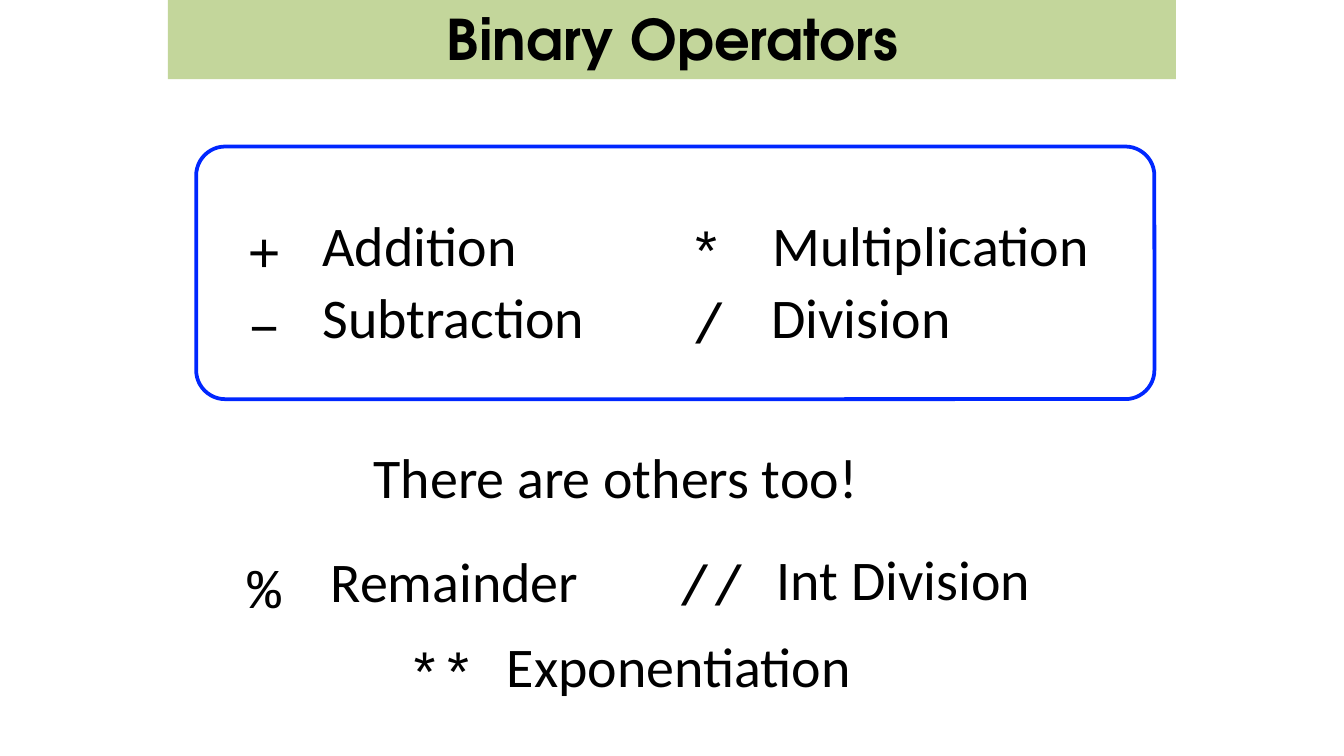
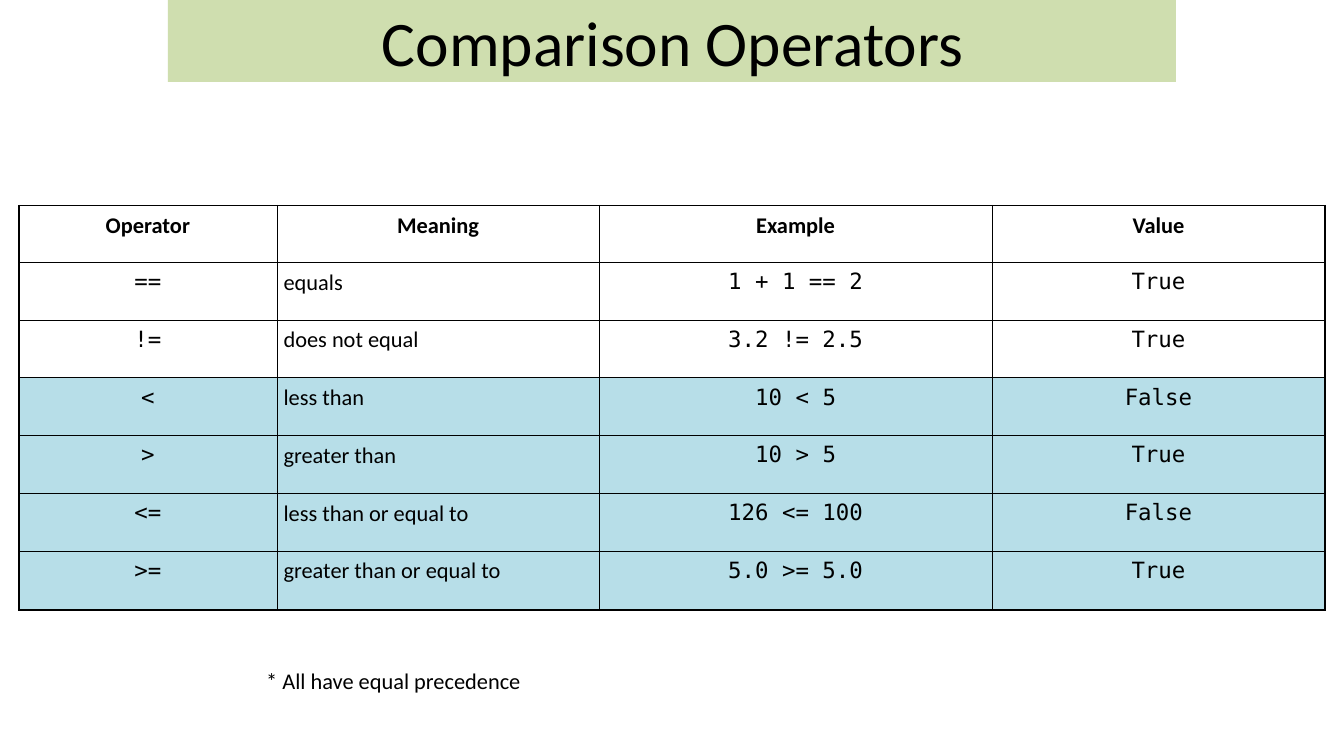
from lxml import etree
from pptx import Presentation
from pptx.dml.color import RGBColor
from pptx.enum.shapes import MSO_SHAPE
from pptx.enum.text import MSO_ANCHOR, MSO_AUTO_SIZE, PP_ALIGN
from pptx.oxml.ns import qn
from pptx.util import Inches, Pt

SLIDE_WIDTH = Inches(10)
SLIDE_HEIGHT = SLIDE_WIDTH * 9 // 16

BLACK = RGBColor(0x00, 0x00, 0x00)
BLUE = RGBColor(0x00, 0x27, 0xFF)
GREEN = RGBColor(0xC3, 0xD6, 0x9B)
LIGHT_BLUE = RGBColor(0xB7, 0xDE, 0xE8)

BODY, CODE, MONO, DISPLAY = "Calibri", "Courier New", "DejaVu Sans Mono", "TeX Gyre Adventor"
MARGINS = ("margin_left", "margin_top", "margin_right", "margin_bottom")
CENTER = PP_ALIGN.CENTER

# Symbol, name, left and top of the symbol in its region, offset and width of the name
BASIC = [
    ("+", "Addition", 0.14, 0.48, 0.76, 2.05),
    ("–", "Subtraction", 0.14, 1.01, 0.76, 2.34),
    ("*", "Multiplication", 3.43, 0.48, 0.82, 2.66),
    ("/", "Division", 3.45, 1.01, 0.79, 2.05),
]
OTHERS = [
    ("%", "Remainder", 0.14, 0.82, 0.82, 2.05),
    ("//", "Int Division", 3.47, 0.8, 0.81, 2.05),
    ("**", "Exponentiation", 1.46, 1.45, 0.81, 2.92),
]
COMPARISONS = [
    ("Operator", "Meaning", "Example", "Value"),
    ("==", "equals", "1 + 1 == 2", "True"),
    ("!=", "does not equal", "3.2 != 2.5", "True"),
    ("<", "less than", "10 < 5", "False"),
    (">", "greater than", "10 > 5", "True"),
    ("<=", "less than or equal to", "126 <= 100", "False"),
    (">=", "greater than or equal to", "5.0 >= 5.0", "True"),
]
COL_WIDTHS = [1.92, 2.4, 2.92, 2.48]
ROW_HEIGHTS = [0.42] + [0.43] * 5 + [0.44]
MEANING_COL = 1
FIRST_SHADED_ROW = 3


def set_attrs(obj, values):
    for name, value in values.items():
        setattr(obj, name, value)


def write(tf, text, size, font=BODY, bold=False, align=PP_ALIGN.LEFT, before=0):
    p = tf.paragraphs[0]
    set_attrs(p, {"alignment": align, "space_before": Pt(before)})
    r = p.add_run()
    r.text = text
    set_attrs(r.font, {"name": font, "size": Pt(size), "bold": bold})
    r.font.color.rgb = BLACK


def add_text(shapes, box, text, size, wrap=True, grow=True, anchor=MSO_ANCHOR.TOP, **style):
    tf = shapes.add_textbox(*map(Inches, box)).text_frame
    set_attrs(tf, {name: Inches(0.04) for name in MARGINS})
    set_attrs(tf, {
        "word_wrap": wrap,
        "auto_size": MSO_AUTO_SIZE.SHAPE_TO_FIT_TEXT if grow else MSO_AUTO_SIZE.NONE,
        "vertical_anchor": anchor,
    })
    write(tf, text, size, **style)


def add_title(s, box, text, size, inset=0, opacity=100, **style):
    """Title centred on a green band; inset trims the text box top and bottom."""
    x, y, w, h = box
    shapes = s.shapes.add_group_shape().shapes
    band = shapes.add_shape(MSO_SHAPE.RECTANGLE, *map(Inches, box))
    band.shadow.inherit = False
    band.fill.solid()
    band.fill.fore_color.rgb = GREEN
    band.line.fill.background()
    if opacity < 100:
        color = band.fill._xPr.find(qn("a:solidFill"))[0]
        etree.SubElement(color, qn("a:alpha"), val=str(opacity * 1000))
    add_text(shapes, (x + 0.04, y + inset, w - 0.07, h - 2 * inset), text, size,
             anchor=MSO_ANCHOR.MIDDLE, align=CENTER, **style)


def add_operators(s, box, operators):
    for symbol, name, dx, dy, offset, width in operators:
        x, y = box[0] + dx, box[1] + dy
        add_text(s.shapes, (x, y, 0.73, 0.55), symbol, 30, font=CODE, align=CENTER)
        add_text(s.shapes, (x + offset, y - 0.04, width, 0.51), name, 30, before=18)


def add_basic_operators(s, box):
    sp = s.shapes.add_shape(MSO_SHAPE.ROUNDED_RECTANGLE, *map(Inches, box))
    sp.shadow.inherit = False
    sp.adjustments[0] = 0.115
    sp.fill.background()
    sp.line.color.rgb = BLUE
    sp.line.width = Pt(2)
    add_operators(s, box, BASIC)


def add_other_operators(s, box):
    x, y = box[:2]
    add_text(s.shapes, (x + 1.28, y, 3.69, 0.51), "There are others too!", 30, wrap=False)
    add_operators(s, box, OTHERS)


def set_borders(cell, widths):
    tc_pr = cell._tc.get_or_add_tcPr()
    for side, width in zip("LRTB", widths):
        ln = etree.SubElement(tc_pr, qn(f"a:ln{side}"), w=str(Pt(width)))
        fill = etree.SubElement(ln, qn("a:solidFill"))
        etree.SubElement(fill, qn("a:srgbClr"), val=str(BLACK))


def add_comparison_table(s, box):
    n_rows, n_cols = len(COMPARISONS), len(COL_WIDTHS)
    table = s.shapes.add_table(n_rows, n_cols, *map(Inches, box)).table
    set_attrs(table, {"first_row": False, "horz_banding": False})
    for column, width in zip(table.columns, COL_WIDTHS):
        column.width = Inches(width)
    for row, height in zip(table.rows, ROW_HEIGHTS):
        row.height = Inches(height)

    for i, texts in enumerate(COMPARISONS):
        for j, text in enumerate(texts):
            cell = table.cell(i, j)
            set_attrs(cell, {name: Inches(0.05) for name in MARGINS})
            header, meaning = i == 0, j == MEANING_COL
            write(cell.text_frame, text, 12, bold=header, before=3,
                  font=BODY if header or meaning else MONO,
                  align=PP_ALIGN.LEFT if meaning and not header else CENTER)
            outer = (j == 0, j == n_cols - 1, i == 0, i == n_rows - 1)
            set_borders(cell, [1 if edge else 0.25 for edge in outer])
            if i >= FIRST_SHADED_ROW:
                cell.fill.solid()
                cell.fill.fore_color.rgb = LIGHT_BLUE
            else:
                cell.fill.background()


def add_binary_slide(prs):
    s = prs.slides.add_slide(prs.slide_layouts[6])
    add_basic_operators(s, (1.46, 1.09, 7.13, 1.88))
    add_title(s, (1.25, -0.02, 7.5, 0.61), "Binary Operators", 30,
              grow=False, font=DISPLAY, bold=True)
    add_other_operators(s, (1.46, 3.25, 7.13, 2))


def add_comparison_slide(prs):
    s = prs.slides.add_slide(prs.slide_layouts[6])
    add_comparison_table(s, (0.14, 1.53, 9.72, 3.01))
    add_text(s.shapes, (1.94, 4.92, 1.98, 0.25), "* All have equal precedence", 12, wrap=False)
    add_title(s, (1.25, 0, 7.5, 0.61), "Comparison Operators", 34, inset=0.02, opacity=80)


def main():
    prs = Presentation()
    set_attrs(prs, {"slide_width": SLIDE_WIDTH, "slide_height": SLIDE_HEIGHT})
    add_binary_slide(prs)
    add_comparison_slide(prs)
    prs.save("out.pptx")


if __name__ == "__main__":
    main()
